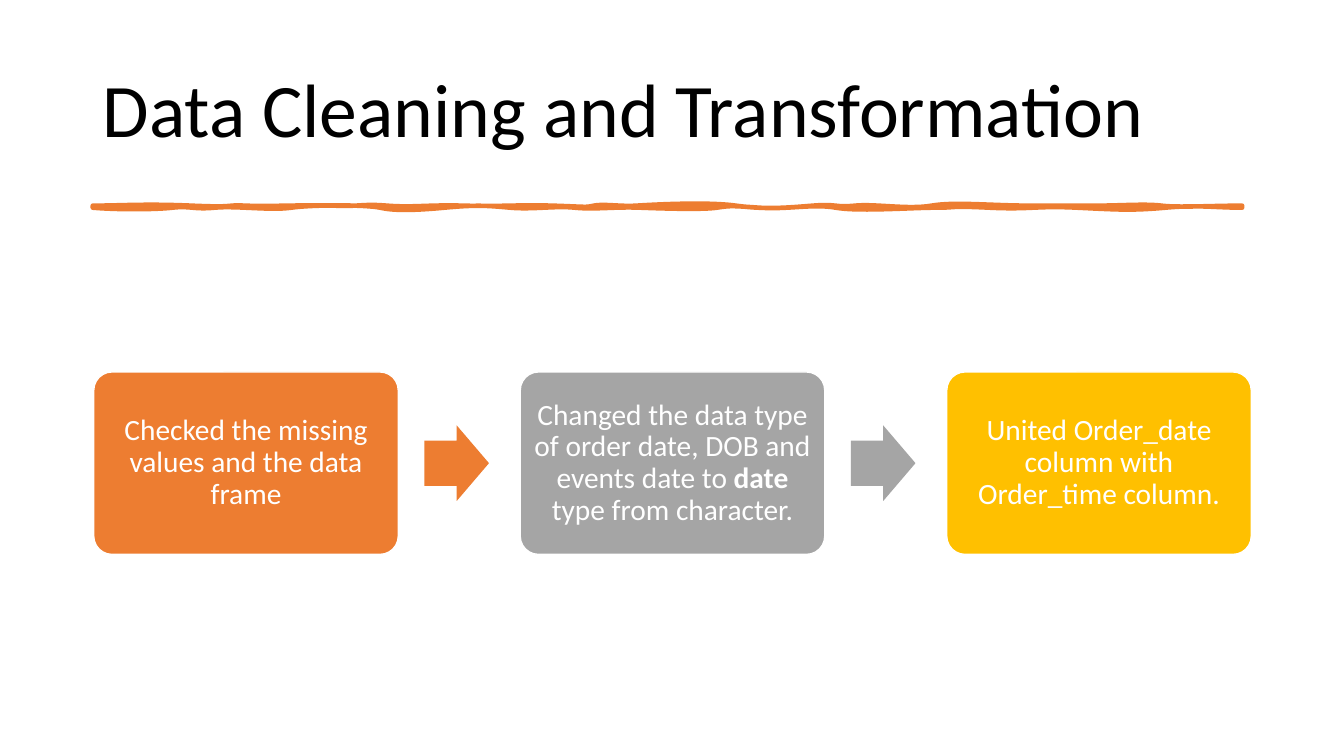
from lxml.etree import Element
from pptx import Presentation
from pptx.dml.color import RGBColor
from pptx.enum.shapes import MSO_SHAPE as Shape
from pptx.enum.text import MSO_ANCHOR as Anchor, PP_ALIGN as Align
from pptx.oxml.ns import qn
from pptx.util import Inches, Pt

ORANGE = RGBColor(0xED, 0x7D, 0x31)
GRAY = RGBColor(0xA5, 0xA5, 0xA5)
GOLD = RGBColor(0xFF, 0xC0, 0x00)
WHITE = RGBColor(0xFF, 0xFF, 0xFF)
BLACK = RGBColor(0, 0, 0)
FONT = "Calibri"

LEFT, PITCH = 0.93, 4.23
CARD_W, CARD_H = 3.02, 1.81
ARROW_W, ARROW_H = 0.64, 0.75
ARROW_GAP = 0.26
MID = 4.595

STEPS = [
    (ORANGE, [("Checked the missing values and the data frame", False)]),
    (GRAY, [("Changed the data type of order date, DOB and events date to ", False),
            ("date ", True), ("type from character.", False)]),
    (GOLD, [("United Order_date column with Order_time column.", False)]),
]

# Each wave: first handle x and rise, second handle x and rise, end x.
# Rises are hundredths of an inch below the edge's own level.
RULE_LEFT, TOP, BASE = 0.92, 2.04, 2.06
TOP_WAVES = [
    (1.19, 0, 1.44, -2, 1.9), (2.37, 2, 2.2, -1, 2.44),
    (2.67, 1, 3.03, -1, 3.31), (3.6, 1, 3.59, -2, 3.84),
    (4.1, 2, 4.23, -1, 4.6), (4.98, 1, 5.14, -1, 5.48),
    (5.81, 1, 5.81, 2, 5.89), (5.98, -2, 6.15, 1, 6.31),
    (6.47, -1, 7.01, -4, 7.3), (7.59, 4, 7.81, 2, 8.06),
    (8.31, -2, 8.27, 2, 8.48), (8.68, -2, 9.01, 4, 9.24),
    (9.47, -4, 9.82, 0, 10.23), (10.63, 0, 10.63, 0, 10.87),
    (11.12, 0, 11.36, -2, 11.52), (11.68, 2, 12.03, 0, 12.32),
]
BASE_WAVES = [
    (12.05, 0, 11.89, -3, 11.56), (11.22, 3, 11.1, 2, 10.68),
    (10.27, -2, 10.23, 2, 9.81), (9.39, -2, 9.52, 0, 9.28),
    (9.04, 0, 8.51, 4, 8.29), (8.06, -4, 7.82, 2, 7.53),
    (7.24, -2, 7.25, -2, 7.11), (6.98, 2, 6.61, 1, 6.35),
    (6.09, -1, 5.9, 2, 5.7), (5.51, -2, 5.28, 2, 5.06),
    (4.83, -2, 4.73, -3, 4.41), (4.09, 3, 3.9, 3, 3.77),
    (3.63, -3, 3.1, -3, 2.89), (2.68, 3, 2.35, -2, 2.13),
    (1.92, 2, 1.89, -2, 1.71), (1.54, 2, 1.14, 2, 0.92),
]


def bend(side, handles):
    """Turn a straight side into a cubic curve with two handles."""
    side.tag = qn("a:cubicBezTo")
    for i, (x, y) in enumerate(handles):
        dot = Element(qn("a:pt"), x=str(Inches(x - RULE_LEFT)), y=str(Inches(y - TOP)))
        side.insert(i, dot)


def add_rule(slide):
    waves = [(TOP, wave) for wave in TOP_WAVES] + [(BASE, wave) for wave in BASE_WAVES]
    dots = [(Inches(wave[-1]), Inches(level)) for level, wave in waves]
    turn = len(TOP_WAVES)
    dots.insert(turn, (dots[turn - 1][0], Inches(BASE)))
    pen = slide.shapes.build_freeform(Inches(RULE_LEFT), Inches(TOP), scale=1.0)
    pen.add_line_segments(dots, close=True)
    rule = pen.convert_to_shape()
    sides = rule.element.xpath(".//a:lnTo")
    del sides[turn]
    for side, (level, wave) in zip(sides, waves):
        ax, ay, bx, by, _ = wave
        bend(side, [(ax, level + ay / 100), (bx, level + by / 100)])
    rule.shadow.inherit = False
    rule.fill.solid()
    rule.fill.fore_color.rgb = ORANGE
    rule.line.color.rgb = ORANGE
    rule.line.width = Pt(3.25)


def write(frame, runs, size, color, align):
    frame.word_wrap = True
    frame.vertical_anchor = Anchor.MIDDLE
    para = frame.paragraphs[0]
    para.alignment = align
    para.line_spacing = 0.9
    for text, bold in runs:
        run = para.add_run()
        run.text = text
        run.font.name = FONT
        run.font.size = Pt(size)
        run.font.bold = bold
        run.font.color.rgb = color


def add_title(slide, text):
    box = slide.shapes.add_textbox(Inches(0.92), Inches(0.4), Inches(11.5), Inches(1.45))
    write(box.text_frame, [(text, False)], 54, BLACK, Align.LEFT)


def add_block(slide, kind, left, width, height, color, bends):
    """Add a filled shape centred on the row of steps."""
    block = slide.shapes.add_shape(kind, Inches(left), Inches(MID - height / 2),
                                   Inches(width), Inches(height))
    for i, share in enumerate(bends):
        block.adjustments[i] = share
    block.shadow.inherit = False
    block.fill.solid()
    block.fill.fore_color.rgb = color
    block.line.fill.background()
    return block


def add_card(slide, left, color, runs):
    card = add_block(slide, Shape.ROUNDED_RECTANGLE, left, CARD_W, CARD_H, color, [0.1])
    card.line.color.rgb = WHITE
    card.line.width = Pt(1)
    frame = card.text_frame
    frame.margin_left = frame.margin_right = Inches(0.07)
    frame.margin_top = frame.margin_bottom = Inches(0.07)
    write(frame, runs, 21, WHITE, Align.CENTER)


def main():
    deck = Presentation()
    deck.slide_width, deck.slide_height = Inches(13.33), Inches(7.5)
    slide = deck.slides.add_slide(deck.slide_layouts[6])
    add_title(slide, "Data Cleaning and Transformation")
    add_rule(slide)
    for i, (color, runs) in enumerate(STEPS):
        left = LEFT + i * PITCH
        add_card(slide, left, color, runs)
        if i < len(STEPS) - 1:
            add_block(slide, Shape.RIGHT_ARROW, left + CARD_W + ARROW_GAP,
                      ARROW_W, ARROW_H, color, [0.6, 0.5])
    deck.save("out.pptx")


if __name__ == "__main__":
    main()
